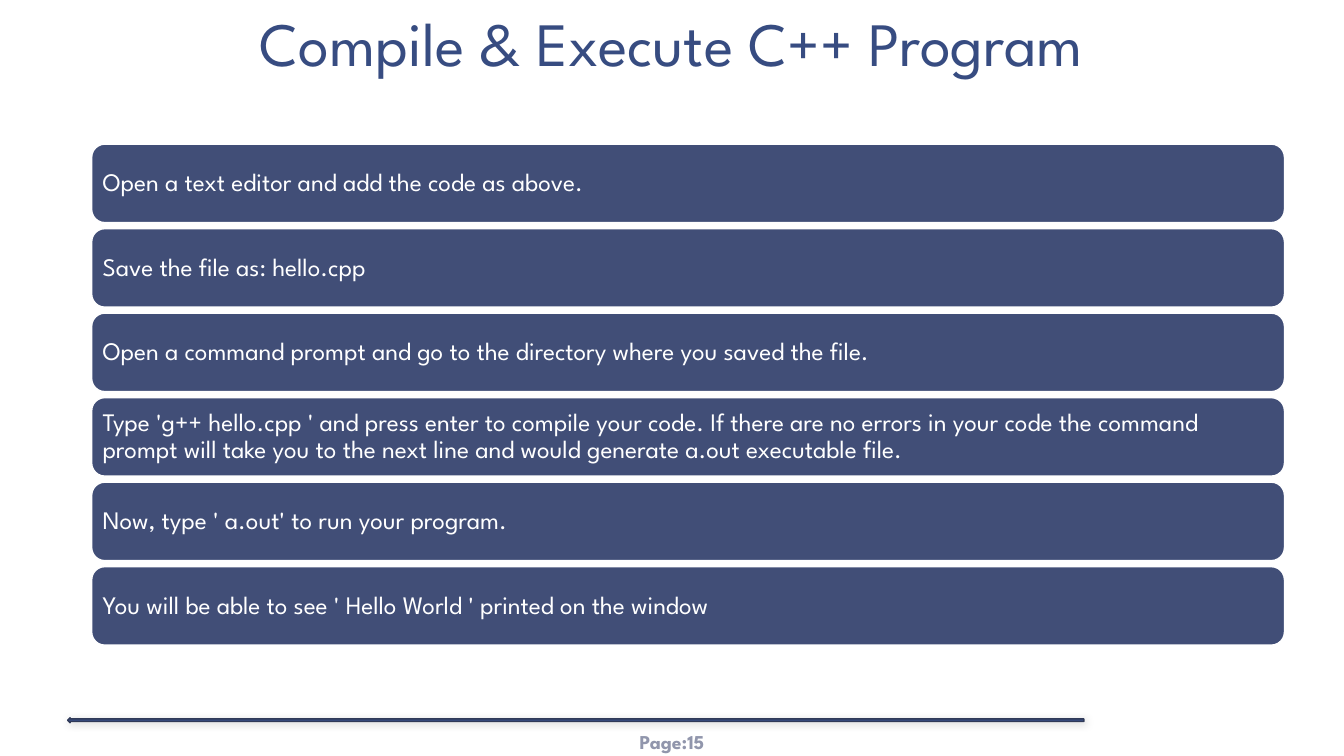
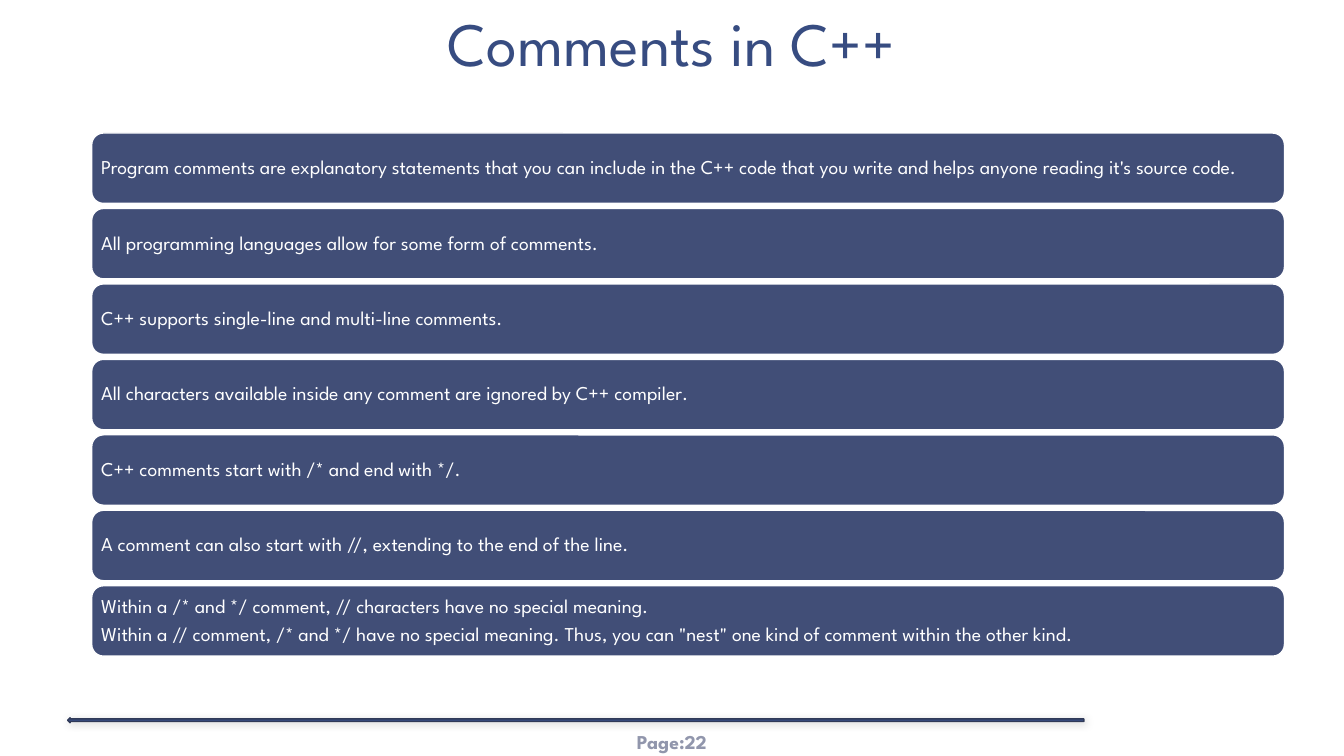
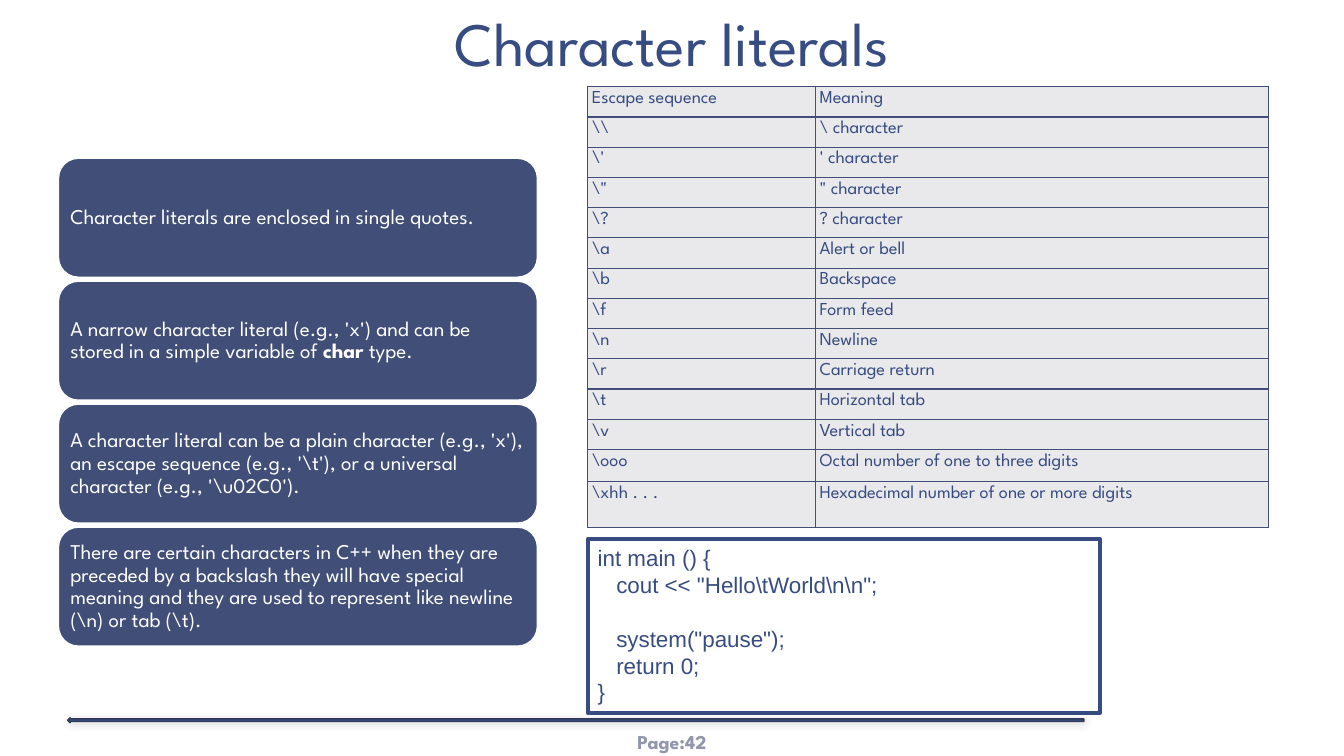
from dataclasses import dataclass

from lxml import etree
from pptx import Presentation
from pptx.dml.color import RGBColor
from pptx.enum.shapes import MSO_SHAPE
from pptx.enum.text import MSO_ANCHOR, PP_ALIGN
from pptx.oxml.ns import qn
from pptx.util import Inches, Pt

RECT = MSO_SHAPE.RECTANGLE
ROUND_RECT = MSO_SHAPE.ROUNDED_RECTANGLE
LEFT_ARROW = MSO_SHAPE.LEFT_ARROW
LEFT, CENTER = PP_ALIGN.LEFT, PP_ALIGN.CENTER
TOP, MIDDLE, BOTTOM = MSO_ANCHOR.TOP, MSO_ANCHOR.MIDDLE, MSO_ANCHOR.BOTTOM


@dataclass(frozen=True)
class Theme:
    font: str = "League Spartan"
    code_font: str = "Arial"
    ink: str = "374C81"
    panel: str = "414E77"
    arrow_line: str = "303A58"
    page: str = "9196AC"
    cell: str = "E9E9EC"
    white: str = "FFFFFF"
    title_size: int = 44
    page_size: int = 14
    code_size: int = 16
    table_size: int = 13


THEME = Theme()

# Each panel is a list of paragraphs; a paragraph is a string or (text, bold) runs.
SLIDES = [
    dict(
        title="Compile & Execute C++ Program", page=15,
        stack=dict(left=0.91, top=1.43, width=11.83, bottom=6.4, gap=0.06, size=18, inset=0.07),
        panels=[
            ["Open a text editor and add the code as above."],
            ["Save the file as: hello.cpp"],
            ["Open a command prompt and go to the directory where you saved the file."],
            ["Type 'g++ hello.cpp ' and press enter to compile your code. If there are no errors "
             "in your code the command prompt will take you to the next line and would generate "
             "a.out executable file."],
            ["Now, type ' a.out' to run your program."],
            ["You will be able to see ' Hello World ' printed on the window"],
        ],
    ),
    dict(
        title="Comments in C++", page=22,
        stack=dict(left=0.91, top=1.32, width=11.83, bottom=6.51, gap=0.05, size=14, inset=0.06),
        panels=[
            ["Program comments are explanatory statements that you can include in the C++ code "
             "that you write and helps anyone reading it's source code."],
            ["All programming languages allow for some form of comments."],
            ["C++ supports single-line and multi-line comments."],
            ["All characters available inside any comment are ignored by C++ compiler."],
            ["C++ comments start with /* and end with */."],
            ["A comment can also start with //, extending to the end of the line."],
            ["Within a /* and */ comment, // characters have no special meaning.",
             "Within a // comment, /* and */ have no special meaning. Thus, you can \"nest\" "
             "one kind of comment within the other kind."],
        ],
    ),
    dict(
        title="Character literals", page=42,
        stack=dict(left=0.58, top=1.57, width=4.75, bottom=6.41, gap=0.04, size=15, inset=0.06),
        panels=[
            ["Character literals are enclosed in single quotes."],
            [[("A narrow character literal (e.g., 'x') and can be stored in a simple variable of ",
               False), ("char", True), (" type.", False)]],
            [r"A character literal can be a plain character (e.g., 'x'), an escape sequence "
             r"(e.g., '\t'), or a universal character (e.g., '\u02C0')."],
            [r"There are certain characters in C++ when they are preceded by a backslash they "
             r"will have special meaning and they are used to represent like newline (\n) or "
             r"tab (\t)."],
        ],
    ),
]

ESCAPES = [
    ("Escape sequence", "Meaning"),
    (r"\\", "\\ character"),
    (r"\'", "' character"),
    (r'\"', '" character'),
    (r"\?", "? character"),
    (r"\a", "Alert or bell"),
    (r"\b", "Backspace"),
    (r"\f", "Form feed"),
    (r"\n", "Newline"),
    (r"\r", "Carriage return"),
    (r"\t", "Horizontal tab"),
    (r"\v", "Vertical tab"),
    (r"\ooo", "Octal number of one to three digits"),
    (r"\xhh . . .", "Hexadecimal number of one or more digits"),
]
ESCAPE_COLS = [2.26, 4.49]
ESCAPE_ROWS = [0.3] * 12 + [0.32, 0.45]

CODE = [
    "int main () {",
    r'   cout << "Hello\tWorld\n\n";',
    " ",
    '   system("pause");',
    "   return 0;",
    "}",
]


def rgb(value):
    return RGBColor.from_string(value)


def set_text(tf, paragraphs, *, size, color, font=THEME.font, bold=False, align=LEFT,
             spacing=None, gap=0, anchor=TOP, inset=(0.1, 0.05)):
    tf.word_wrap = True
    tf.vertical_anchor = anchor
    tf.margin_left = tf.margin_right = Inches(inset[0])
    tf.margin_top = tf.margin_bottom = Inches(inset[1])
    for i, paragraph in enumerate(paragraphs):
        p = tf.add_paragraph() if i else tf.paragraphs[0]
        p.alignment = align
        if spacing:
            p.line_spacing = spacing
        if i:
            p.space_before = Pt(gap)
        runs = [(paragraph, bold)] if isinstance(paragraph, str) else paragraph
        for text, is_bold in runs:
            r = p.add_run()
            r.text = text
            r.font.name, r.font.size, r.font.bold = font, Pt(size), is_bold
            r.font.color.rgb = rgb(color)


def add_text(slide, box, text, **fmt):
    sp = slide.shapes.add_textbox(*map(Inches, box))
    set_text(sp.text_frame, [text], **fmt)


def add_shape(slide, kind, box, *, fill=None, line, weight=1):
    sp = slide.shapes.add_shape(kind, *map(Inches, box))
    sp.shadow.inherit = False
    if fill:
        sp.fill.solid()
        sp.fill.fore_color.rgb = rgb(fill)
    else:
        sp.fill.background()
    sp.line.color.rgb = rgb(line)
    sp.line.width = Pt(weight)
    return sp


def add_soft_shadow(sp):
    effects = sp.element.spPr.find(qn("a:effectLst"))
    shadow = etree.SubElement(effects, qn("a:outerShdw"), blurRad=str(Pt(6)), dist=str(Pt(1)),
                              dir=str(45 * 60000), rotWithShape="0")
    color = etree.SubElement(shadow, qn("a:srgbClr"), val="000000")
    etree.SubElement(color, qn("a:alpha"), val="20000")


def add_frame(slide, title, page):
    """Title, footer arrow and page label found on every slide."""
    add_text(slide, (5.78, 7.16, 1.77, 0.4), f"Page:{page}", size=THEME.page_size,
             color=THEME.page, bold=True, align=CENTER, anchor=MIDDLE, inset=(0.04, 0.02))
    arrow = add_shape(slide, LEFT_ARROW, (0.67, 7.12, 10.08, 0.05),
                      fill=THEME.ink, line=THEME.arrow_line)
    add_soft_shadow(arrow)
    add_text(slide, (0, 0, 13.33, 0.86), title, size=THEME.title_size, color=THEME.ink,
             align=CENTER, spacing=0.85, anchor=BOTTOM, inset=(0.13, 0.07))


def add_stack(slide, panels, *, left, top, width, bottom, gap, size, inset):
    """Equal panels that fill the height from top to bottom."""
    height = (bottom - top + gap) / len(panels) - gap
    for i, paragraphs in enumerate(panels):
        sp = add_shape(slide, ROUND_RECT, (left, top + i * (height + gap), width, height),
                       fill=THEME.panel, line=THEME.white)
        set_text(sp.text_frame, paragraphs, size=size, color=THEME.white, spacing=0.9,
                 gap=round(size * 0.35), anchor=MIDDLE, inset=(inset, inset))


def set_borders(cell, color, weight):
    tc_pr = cell._tc.get_or_add_tcPr()
    for side in ("lnL", "lnR", "lnT", "lnB"):
        ln = etree.SubElement(tc_pr, qn(f"a:{side}"), w=str(Pt(weight)))
        fill = etree.SubElement(ln, qn("a:solidFill"))
        etree.SubElement(fill, qn("a:srgbClr"), val=color)


def add_escape_table(slide):
    box = (5.83, 0.86, sum(ESCAPE_COLS), sum(ESCAPE_ROWS))
    table = slide.shapes.add_table(len(ESCAPES), len(ESCAPE_COLS), *map(Inches, box)).table
    table.first_row = table.horz_banding = False
    for column, width in zip(table.columns, ESCAPE_COLS):
        column.width = Inches(width)
    for row, height, texts in zip(table.rows, ESCAPE_ROWS, ESCAPES):
        row.height = Inches(height)
        for cell, text in zip(row.cells, texts):
            set_text(cell.text_frame, [text], size=THEME.table_size, color=THEME.ink)
            cell.margin_left = cell.margin_right = Inches(0.04)
            cell.margin_top = cell.margin_bottom = Inches(0.04)
            set_borders(cell, THEME.panel, 1)
            cell.fill.solid()
            cell.fill.fore_color.rgb = rgb(THEME.cell)


def add_code(slide):
    sp = add_shape(slide, RECT, (5.83, 5.35, 5.08, 1.72), line=THEME.ink, weight=3)
    set_text(sp.text_frame, CODE, size=THEME.code_size, color=THEME.ink, font=THEME.code_font)


def main():
    prs = Presentation()
    prs.slide_width, prs.slide_height = Inches(13.33), Inches(7.5)
    for content in SLIDES:
        slide = prs.slides.add_slide(prs.slide_layouts[6])
        add_frame(slide, content["title"], content["page"])
        add_stack(slide, content["panels"], **content["stack"])
    add_code(slide)
    add_escape_table(slide)
    prs.save("out.pptx")


if __name__ == "__main__":
    main()
